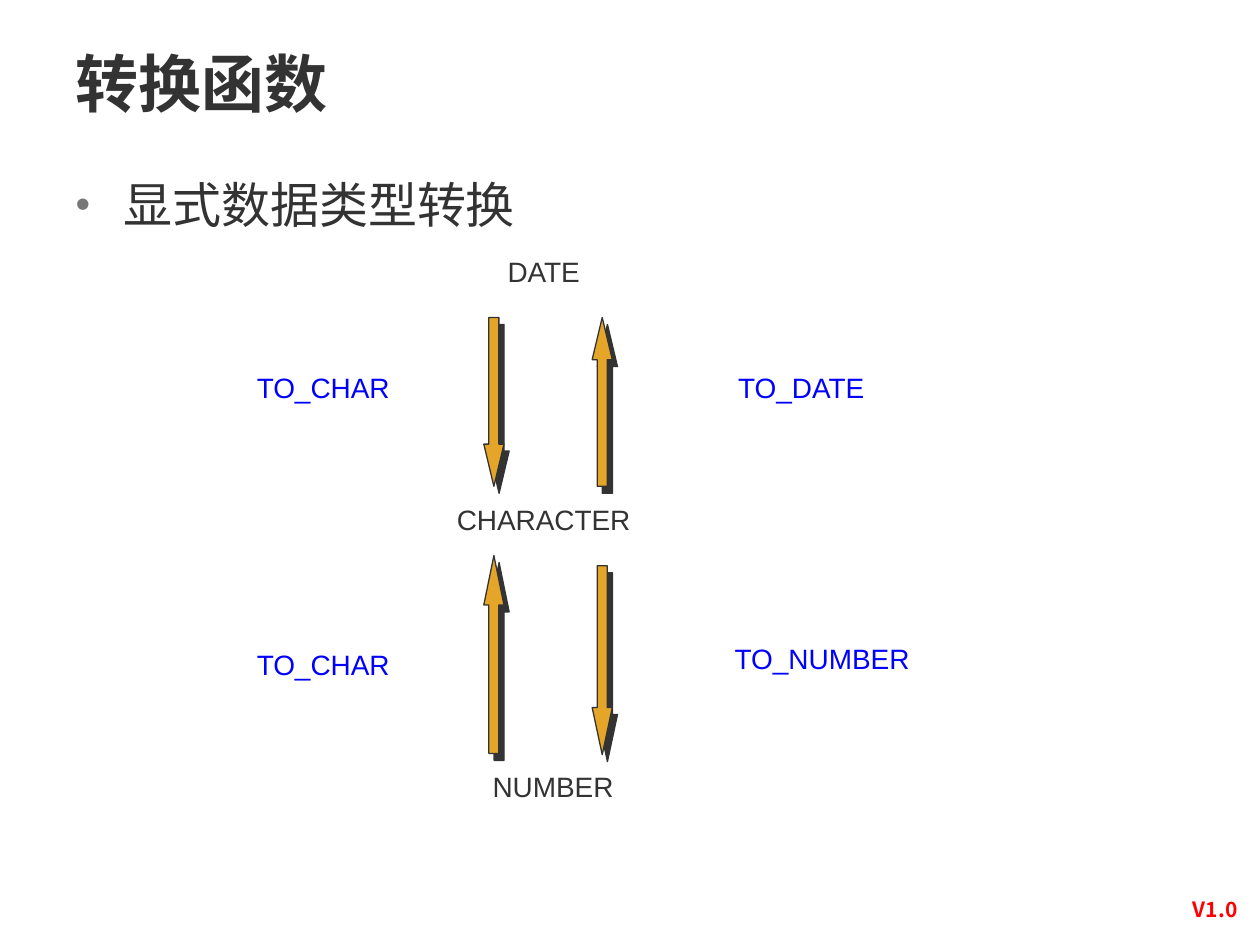
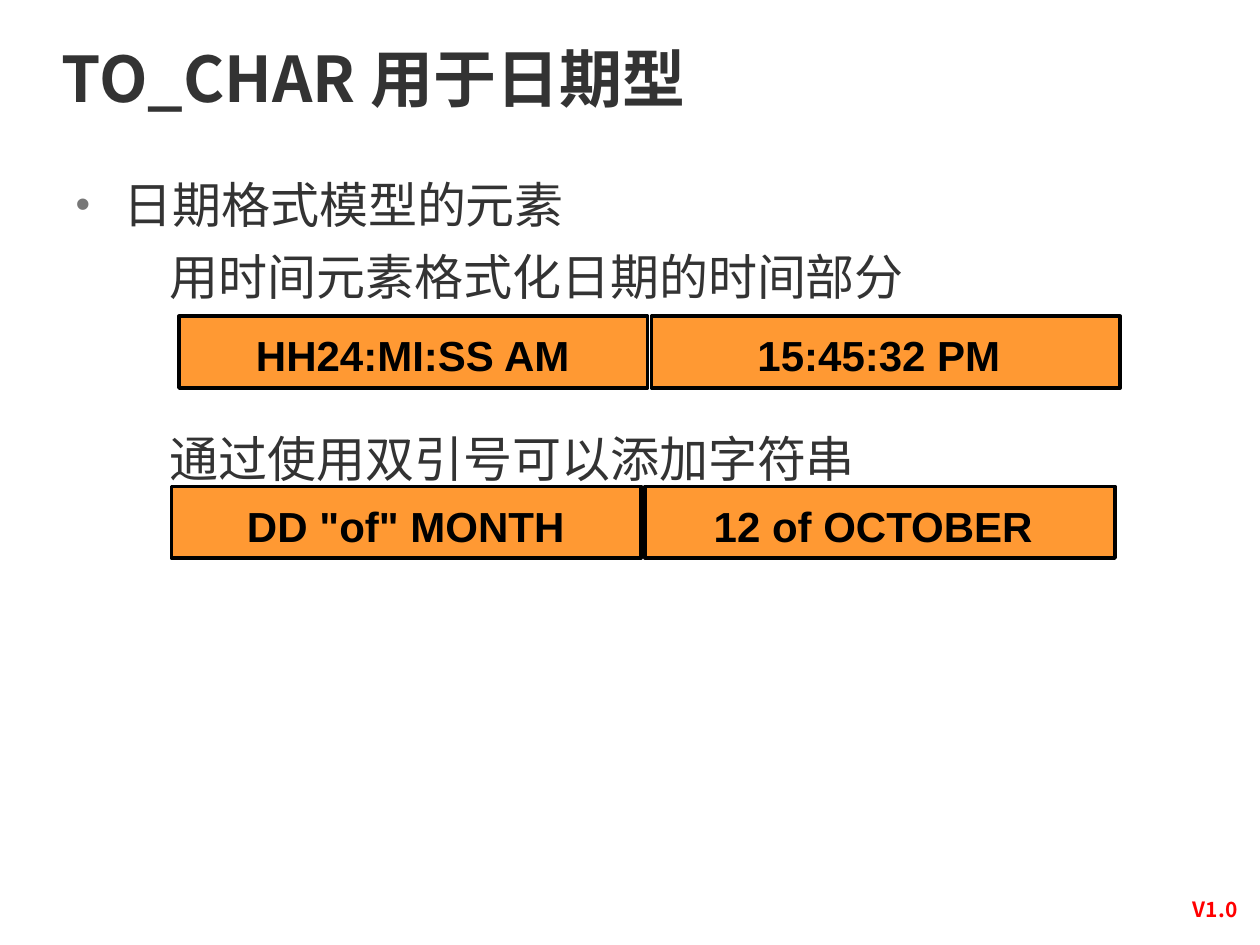
from dataclasses import dataclass

from lxml.etree import SubElement
from pptx import Presentation
from pptx.dml.color import RGBColor
from pptx.enum.shapes import MSO_SHAPE
from pptx.enum.text import MSO_ANCHOR, MSO_AUTO_SIZE, PP_ALIGN
from pptx.oxml.ns import qn
from pptx.util import Inches, Pt

# Shared look
SANS, HAN = "Arial", "Noto Sans CJK SC"
INK, GREY, BLUE, RED, BLACK = "333333", "777777", "0000FF", "FF0000", "000000"
GOLD, ORANGE = "E4A528", "FF9933"


@dataclass
class Style:
    size: int
    face: str
    tint: str
    bold: bool = False


TITLE = Style(36, HAN, INK, True)
LIST = Style(28, HAN, INK)
MARK = Style(12, HAN, RED, True)
TYPE = Style(16, SANS, INK)
CALL = Style(16, SANS, BLUE)
CELL = Style(24, SANS, BLACK, True)


@dataclass
class Label:
    text: str
    left: float
    top: float
    width: float
    style: Style


@dataclass
class Arrow:
    kind: MSO_SHAPE
    left: float
    top: float
    height: float


@dataclass
class Row:
    left: float
    top: float
    width: float
    texts: tuple[str, str]


LABELS = [
    Label("DATE", 2.89, 1.97, 2.85, TYPE),
    Label("CHARACTER", 2.89, 3.94, 2.85, TYPE),
    Label("NUMBER", 3.44, 6.06, 1.9, TYPE),
    Label("TO_CHAR", 1.14, 2.89, 2.85, CALL),
    Label("TO_DATE", 5.18, 2.89, 2.36, CALL),
    Label("TO_CHAR", 1.14, 5.09, 2.85, CALL),
    Label("TO_NUMBER", 5.1, 5.04, 2.85, CALL),
]
ARROWS = [
    Arrow(MSO_SHAPE.DOWN_ARROW, 3.84, 2.52, 1.34),
    Arrow(MSO_SHAPE.UP_ARROW, 4.7, 2.52, 1.34),
    Arrow(MSO_SHAPE.UP_ARROW, 3.84, 4.41, 1.57),
    Arrow(MSO_SHAPE.DOWN_ARROW, 4.7, 4.49, 1.5),
]
ROWS = [
    Row(1.42, 2.51, 3.72, ("HH24:MI:SS AM", "15:45:32 PM")),
    Row(1.36, 3.86, 3.73, ('DD "of" MONTH', "12 of OCTOBER")),
]
NOTES = ("用时间元素格式化日期的时间部分", "通过使用双引号可以添加字符串")


def color(code: str) -> RGBColor:
    return RGBColor.from_string(code)


def place(shape, left: float, top: float, width: float, height: float) -> None:
    shape.left, shape.top = Inches(left), Inches(top)
    shape.width, shape.height = Inches(width), Inches(height)


def write(para, text: str, style: Style, align=PP_ALIGN.LEFT, space=1.0) -> None:
    para.text = text
    para.alignment = align
    para.line_spacing = space
    para.space_before = para.space_after = Pt(0)
    for run in para.runs:
        font = run.font
        font.size, font.name, font.bold = Pt(style.size), style.face, style.bold
        font.color.rgb = color(style.tint)
        SubElement(run._r.rPr, qn("a:ea"), typeface=style.face)


def indent(para, left: float, first: float):
    props = para._p.get_or_add_pPr()
    props.set("marL", str(Inches(left)))
    props.set("indent", str(Inches(first)))
    return props


def bullet(para) -> None:
    props = indent(para, 0.38, -0.38)
    tint = SubElement(props, qn("a:buClr"))
    SubElement(tint, qn("a:srgbClr"), val=GREY)
    SubElement(props, qn("a:buSzPct"), val="85000")
    SubElement(props, qn("a:buFont"), typeface=SANS)
    SubElement(props, qn("a:buChar"), char="•")


def add_label(shapes, item: Label, height: float = 0.5):
    box = shapes.add_textbox(0, 0, 0, 0)
    place(box, item.left, item.top, item.width, height)
    box.text_frame.word_wrap = True
    write(box.text_frame.paragraphs[0], item.text, item.style, PP_ALIGN.CENTER)
    return box


def add_shape(shapes, kind, spot: tuple, fill: str, line: str, weight: float):
    shape = shapes.add_shape(kind, *map(Inches, spot))
    shape.shadow.inherit = False
    shape.fill.solid()
    shape.fill.fore_color.rgb = color(fill)
    shape.line.color.rgb = color(line)
    shape.line.width = Pt(weight)
    return shape


def add_arrow(shapes, item: Arrow) -> None:
    width = 0.16
    spot = (item.left, item.top, width, item.height)
    shape = add_shape(shapes, item.kind, spot, GOLD, INK, 0.75)
    shape.adjustments[0] = 0.5
    shape.adjustments[1] = item.height / 4 / width  # head is a quarter long
    # Hard shadow down to the right
    effects = shape._element.spPr.find(qn("a:effectLst"))
    shade = SubElement(effects, qn("a:outerShdw"), blurRad="0", dist=str(Pt(5)),
                       dir=str(53 * 60000), algn="ctr", rotWithShape="0")
    SubElement(shade, qn("a:srgbClr"), val=INK)


def add_row(slide, row: Row) -> None:
    group = slide.shapes.add_group_shape()
    for i, text in enumerate(row.texts):
        left = row.left + i * (row.width + 0.03)
        spot = (left, row.top, row.width, 0.57)
        add_shape(group.shapes, MSO_SHAPE.RECTANGLE, spot, ORANGE, BLACK, 2)
        add_label(group.shapes, Label(text, left - 0.02 * (i + 1), row.top + 0.06,
                                      row.width + 0.03 - 0.06 * i, CELL))


def add_slide(deck, title: str, lead: str, spot: tuple):
    slide = deck.slides.add_slide(deck.slide_layouts[1])
    head, body = slide.shapes.title, slide.placeholders[1]
    place(head, *spot)
    place(body, 0.5, 1.15, 8.91, 5.43)
    for shape in (head, body):
        shape.text_frame.vertical_anchor = MSO_ANCHOR.TOP
        shape.text_frame.auto_size = MSO_AUTO_SIZE.NONE
    write(head.text_frame.paragraphs[0], title, TITLE)
    para = body.text_frame.paragraphs[0]
    write(para, lead, LIST, space=1.4)
    bullet(para)
    return slide


def add_notes(slide) -> None:
    box = slide.shapes.add_textbox(0, 0, 0, 0)
    place(box, 0.94, 1.88, 8.08, 3.01)
    frame = box.text_frame
    frame.word_wrap = True
    for i, text in enumerate(NOTES):
        para = frame.add_paragraph() if i else frame.paragraphs[0]
        write(para, text, LIST, space=1.05)
        indent(para, 0.31, 0)
        para.space_before = Pt(69 * i)  # room for the row between


def main() -> None:
    deck = Presentation()
    deck.slide_width, deck.slide_height = Inches(10), Inches(7.5)

    # Conversion diagram
    slide = add_slide(deck, "转换函数", "显式数据类型转换", (0.5, 0.3, 7.97, 0.77))
    for item in LABELS:
        add_label(slide.shapes, item)
    for item in ARROWS:
        add_arrow(slide.shapes, item)

    # Version mark, moved to the layout that both slides share
    mark = add_label(slide.shapes, Label("V1.0", 9.25, 7.07, 0.79, MARK), 0.3)
    mark.text_frame.word_wrap = False
    deck.slide_layouts[1].shapes.element.append(mark.element)

    # Date formats
    slide = add_slide(deck, "TO_CHAR 用于日期型", "日期格式模型的元素",
                      (0.39, 0.26, 8.5, 0.83))
    add_notes(slide)
    for row in ROWS:
        add_row(slide, row)

    deck.save("out.pptx")


if __name__ == "__main__":
    main()
